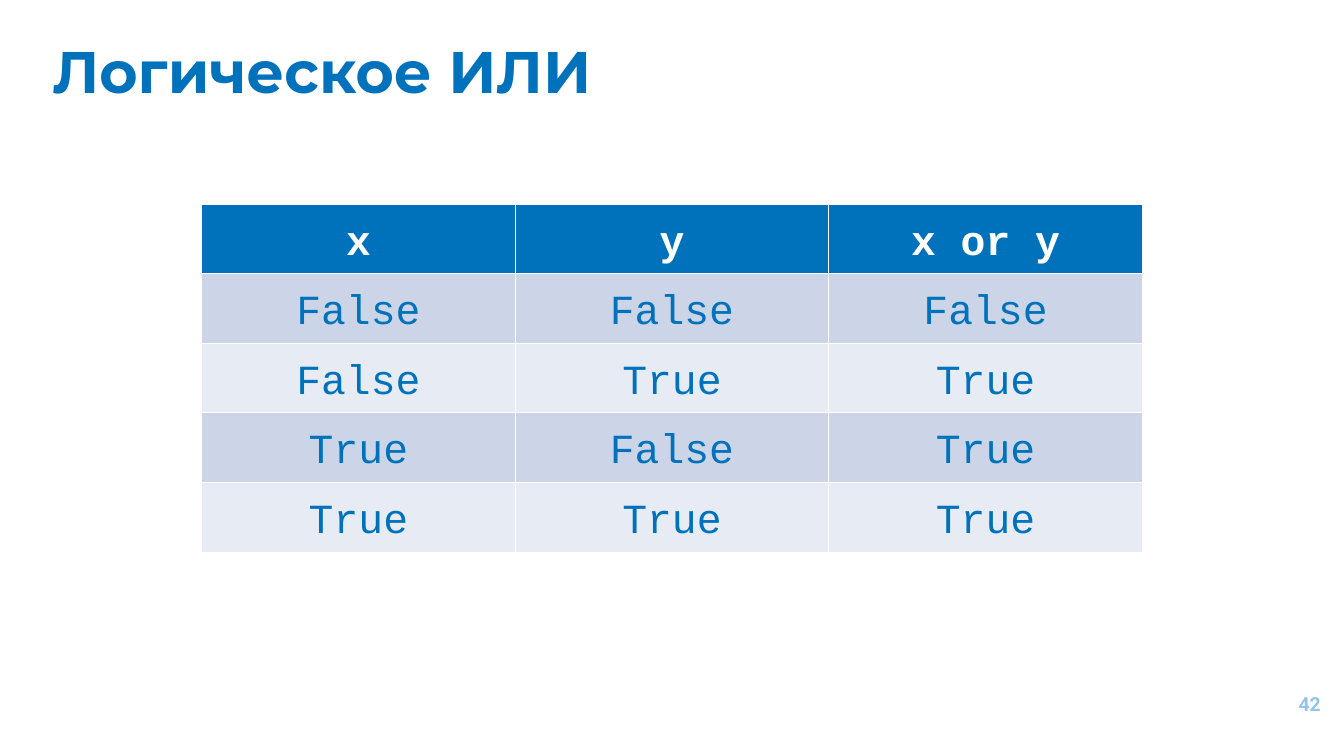
from pptx import Presentation
from pptx.dml.color import RGBColor
from pptx.enum.text import MSO_ANCHOR, PP_ALIGN
from pptx.util import Inches, Pt

BLUE = RGBColor(0x00, 0x72, 0xBC)
LIGHT_BLUE = RGBColor(0x92, 0xC5, 0xEB)
WHITE = RGBColor(0xFF, 0xFF, 0xFF)
ODD_ROW = RGBColor(0xCC, 0xD5, 0xE7)
EVEN_ROW = RGBColor(0xE7, 0xEB, 0xF3)

LEFT, CENTER, RIGHT = PP_ALIGN.LEFT, PP_ALIGN.CENTER, PP_ALIGN.RIGHT
TOP, MIDDLE = MSO_ANCHOR.TOP, MSO_ANCHOR.MIDDLE

HEADINGS = ("x", "y", "x or y")
TRUTH_ROWS = [(x, y, x or y) for x in (False, True) for y in (False, True)]


def write(frame, text, *, font, size, color, bold=False, align=LEFT, spacing=None):
    paragraph = frame.paragraphs[0]
    paragraph.alignment = align
    if spacing:
        paragraph.line_spacing = spacing
    run = paragraph.add_run()
    run.text = text
    run.font.name = font
    run.font.size = Pt(size)
    run.font.bold = bold
    run.font.color.rgb = color


def add_label(slide, box, text, anchor=TOP, **text_format):
    frame = slide.shapes.add_textbox(*map(Inches, box)).text_frame
    frame.word_wrap = True
    frame.vertical_anchor = anchor
    frame.margin_left = frame.margin_right = Inches(0.1)
    frame.margin_top = frame.margin_bottom = Inches(0.1)
    write(frame, text, **text_format)


def add_truth_table(slide, box):
    """The default table style supplies the white rules between cells."""
    rows = [HEADINGS, *TRUTH_ROWS]
    table = slide.shapes.add_table(
        len(rows), len(HEADINGS), *map(Inches, box)).table
    for row_index, values in enumerate(rows):
        is_heading = row_index == 0
        band = ODD_ROW if row_index % 2 else EVEN_ROW
        for column_index, value in enumerate(values):
            cell = table.cell(row_index, column_index)
            cell.fill.solid()
            cell.fill.fore_color.rgb = BLUE if is_heading else band
            write(cell.text_frame, str(value), font="Courier New", size=60,
                  color=WHITE if is_heading else BLUE, bold=is_heading,
                  align=CENTER, spacing=1.3)


def main():
    presentation = Presentation()
    presentation.slide_width = Inches(27.06)
    presentation.slide_height = Inches(15)
    slide = presentation.slides.add_slide(presentation.slide_layouts[6])

    add_label(slide, (0.96, 0.61, 22.23, 1.92), "Логическое ИЛИ",
              font="Montserrat", size=85, color=BLUE, bold=True)
    add_truth_table(slide, (4.06, 4.11, 18.94, 6.6))
    add_label(slide, (25.07, 13.6, 1.62, 1.15), "42", anchor=MIDDLE,
              font="Roboto", size=28, color=LIGHT_BLUE, bold=True, align=RIGHT)

    presentation.save("out.pptx")


if __name__ == "__main__":
    main()
